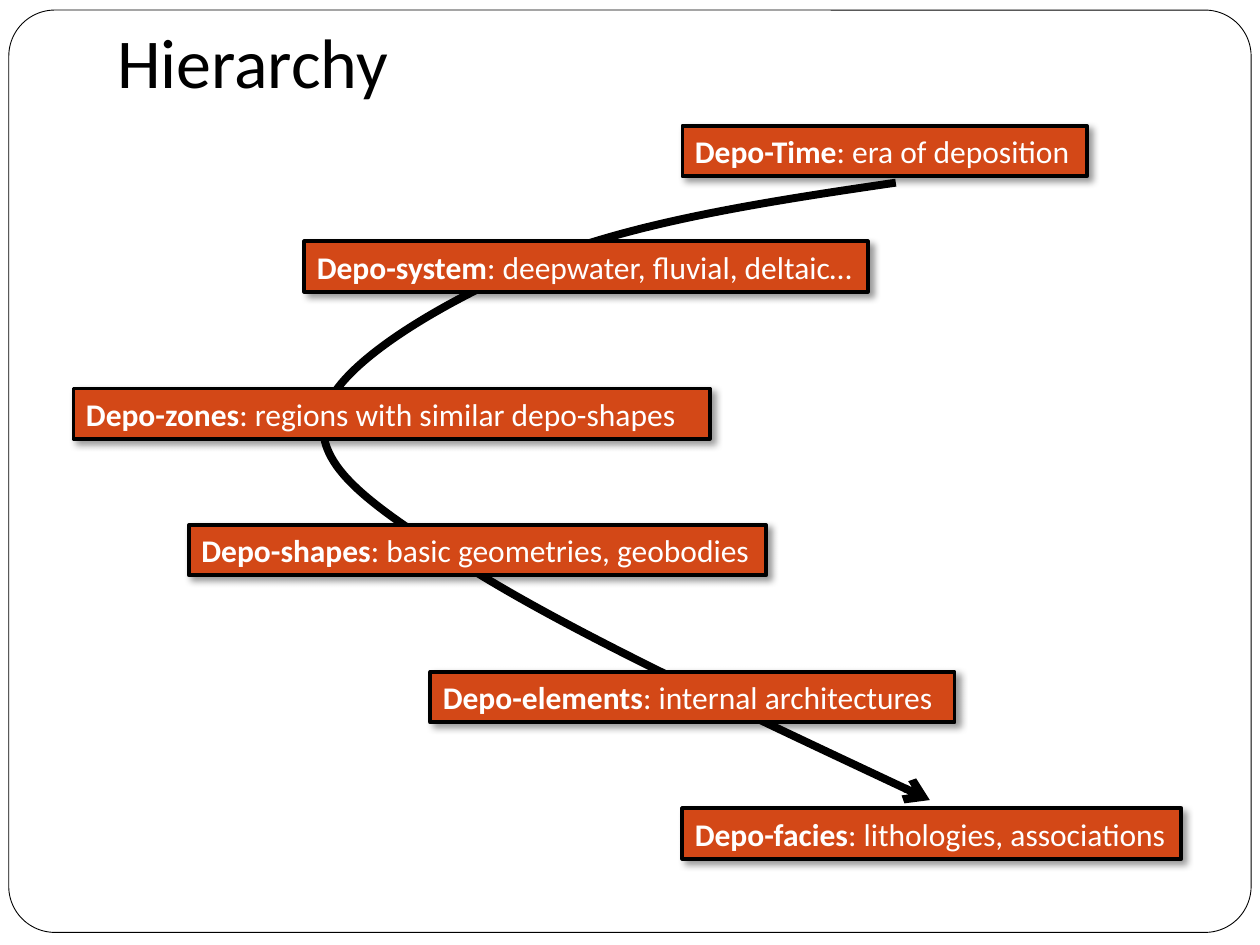
from pptx import Presentation
from pptx.dml.color import RGBColor
from pptx.enum.shapes import MSO_SHAPE as Shape
from pptx.enum.text import MSO_ANCHOR as Anchor, PP_ALIGN as Align
from pptx.oxml.ns import qn
from pptx.util import Inches, Pt
from lxml.etree import SubElement

CELLS_PER_INCH = 12
CURVE_UNIT = Inches(0.01)
LEVELS = [
    ("Depo-Time", "era of deposition", 65, 12, 3.21),
    ("Depo-system", "deepwater, fluvial, deltaic…", 29, 23, 4.47),
    ("Depo-zones", "regions with similar depo-shapes", 7, 37, 5.05),
    ("Depo-shapes", "basic geometries, geobodies", 18, 50, 4.58),
    ("Depo-elements", "internal architectures", 41, 64, 4.16),
    ("Depo-facies", "lithologies, associations", 65, 77, 3.96),
]
DESCENT = [
    (711, 145), (608, 160), (506, 176), (431, 206),
    (356, 237), (269, 287), (258, 327),
    (248, 368), (288, 397), (368, 448),
    (448, 499), (593, 567), (738, 635),
]


def color(code):
    return RGBColor.from_string(code)


def write(paragraph, text, size=18, ink="FFFFFF", bold=False, face="Calibri"):
    run = paragraph.add_run()
    run.text = text
    run.font.name, run.font.size, run.font.bold = face, Pt(size), bold
    run.font.color.rgb = color(ink)


class HierarchySlide:
    accent, ink, paper = "D34817", "000000", "FFFFFF"

    def __init__(self, deck):
        self.slide = deck.slides.add_slide(deck.slide_layouts[5])
        self.shapes = self.slide.shapes

    def paint(self, shape, fill, width):
        shape.shadow.inherit = False
        if fill:
            shape.fill.solid()
            shape.fill.fore_color.rgb = color(fill)
        else:
            shape.fill.background()
        shape.line.color.rgb = color(self.ink)
        shape.line.width = Pt(width)

    def frame(self):
        border = self.shapes.add_shape(
            Shape.ROUNDED_RECTANGLE, Inches(0.07), Inches(0.08), Inches(9.86), Inches(7.32))
        border.adjustments[0] = 0.05
        self.paint(border, self.paper, 0.5)

    def title(self, text):
        heading = self.shapes.title
        self.shapes._spTree.append(heading._element)
        heading.left, heading.top = Inches(0.83), Inches(0.08)
        heading.width, heading.height = Inches(8.5), Inches(0.83)
        body = heading.text_frame
        body.vertical_anchor = Anchor.BOTTOM
        body.margin_bottom = Inches(0.1)
        body.paragraphs[0].alignment = Align.LEFT
        write(body.paragraphs[0], text, size=40, ink=self.ink)

    def curved_arrow(self, points):
        builder = self.shapes.build_freeform(*points[0], scale=CURVE_UNIT)
        builder.add_line_segments(points[1:], close=False)
        arrow = builder.convert_to_shape()
        self.paint(arrow, None, 4.5)
        outline = next(arrow._element.iter(qn("a:path")))
        steps = outline.findall(qn("a:lnTo"))
        for first in range(0, len(steps), 3):
            bend = SubElement(outline, qn("a:cubicBezTo"))
            for step in steps[first:first + 3]:
                bend.append(step[0])
                outline.remove(step)
        SubElement(arrow.line._get_or_add_ln(), qn("a:tailEnd"), type="arrow")

    def level(self, term, meaning, column, row, width):
        box = self.shapes.add_shape(
            Shape.RECTANGLE, Inches(column / CELLS_PER_INCH), Inches(row / CELLS_PER_INCH),
            Inches(width), Inches(0.4))
        self.paint(box, self.accent, 2.25)
        self.drop_shadow(box)
        body = box.text_frame
        body.word_wrap = True
        body.margin_right = 0
        body.paragraphs[0].alignment = Align.LEFT
        write(body.paragraphs[0], term, bold=True)
        write(body.paragraphs[0], f": {meaning}")

    def drop_shadow(self, box):
        effects = box._element.spPr.find(qn("a:effectLst"))
        shade = SubElement(effects, qn("a:outerShdw"), blurRad=str(Pt(4)), dist=str(Pt(3)),
                           dir="2700000", algn="tl", rotWithShape="0")
        tone = SubElement(shade, qn("a:srgbClr"), val=self.ink)
        SubElement(tone, qn("a:alpha"), val="40000")


def main():
    deck = Presentation()
    deck.slide_width, deck.slide_height = Inches(10), Inches(7.5)
    page = HierarchySlide(deck)
    page.frame()
    page.curved_arrow(DESCENT)
    page.title("Hierarchy")
    for entry in LEVELS:
        page.level(*entry)
    deck.save("out.pptx")


if __name__ == "__main__":
    main()
